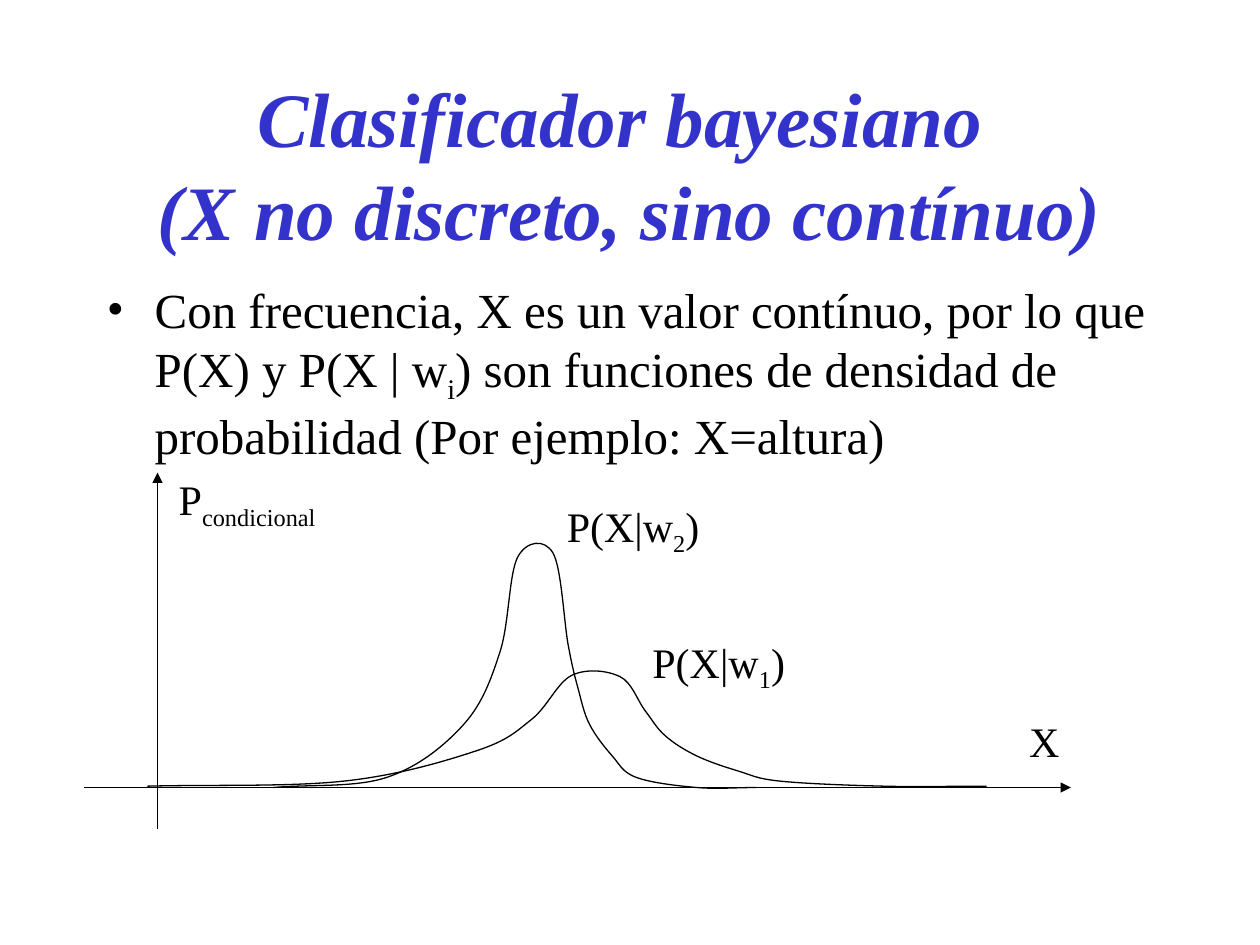
from lxml import etree
from pptx import Presentation, util as u
from pptx.dml.color import RGBColor
from pptx.enum import shapes, text
from pptx.oxml.ns import qn

FONT = "Times New Roman"
BLACK = "000000"
BLUE = "3333CC"
SUBSCRIPT = "-25000"
NARROW_DENSITY = [(2.17, 6.25), (3.07, 6.17), (3.68, 5.75), (3.97, 5.17),
                  (4.11, 4.42), (4.39, 4.39), (4.51, 5.12), (4.59, 5.47),
                  (4.68, 5.75), (4.86, 6), (5.05, 6.17), (5.53, 6.25), (6, 6.25)]
WIDE_DENSITY = [(1.17, 6.24), (2.73, 6.2), (3.78, 5.96), (4.22, 5.71),
                (4.54, 5.36), (4.92, 5.37), (5.12, 5.64), (5.28, 5.84),
                (5.53, 6), (5.86, 6.12), (6.19, 6.2), (7.01, 6.24), (7.83, 6.24)]


def color(value):
    return RGBColor.from_string(value)


def inches(*lengths):
    return [u.Inches(length) for length in lengths]


def style(paragraph, size, tint=BLACK):
    font = paragraph.font
    font.name, font.size = FONT, u.Pt(size)
    font.color.rgb = color(tint)
    return font


def add_title(slide, wording):
    title = slide.shapes.title
    title.left, title.top, title.width, title.height = inches(0.75, 0.67, 8.5, 1.25)
    frame = title.text_frame
    frame.text = wording
    frame.auto_size = text.MSO_AUTO_SIZE.NONE
    frame.vertical_anchor = text.MSO_ANCHOR.MIDDLE
    heading = frame.paragraphs[0]
    heading.alignment = text.PP_ALIGN.CENTER
    font = style(heading, 44, BLUE)
    font.bold = font.italic = True


def add_text(slide, box, pieces, size, bullet=False):
    frame = slide.shapes.add_textbox(*inches(*box)).text_frame
    frame.word_wrap = bullet
    if not bullet:
        frame.auto_size = text.MSO_AUTO_SIZE.SHAPE_TO_FIT_TEXT
    paragraph = frame.paragraphs[0]
    if bullet:
        properties = paragraph._p.get_or_add_pPr()
        indent = u.Inches(0.38)
        properties.set("marL", str(indent))
        properties.set("indent", str(-indent))
        etree.SubElement(properties, qn("a:buFont")).set("typeface", FONT)
        etree.SubElement(properties, qn("a:buChar")).set("char", "•")
    style(paragraph, size)
    for index, piece in enumerate(pieces):
        run = paragraph.add_run()
        run.text = piece
        if index % 2:
            run.font._element.set("baseline", SUBSCRIPT)


def outline(shape):
    shape.line.color.rgb = color(BLACK)
    shape.line.width = u.Pt(0.75)


def add_axis(slide, start, end):
    axis = slide.shapes.add_connector(shapes.MSO_CONNECTOR.STRAIGHT, *inches(*start, *end))
    outline(axis)
    etree.SubElement(axis.line._get_or_add_ln(), qn("a:tailEnd")).set("type", "triangle")
    etree.SubElement(axis._element.spPr, qn("a:effectLst"))


def bezier_points(knots):
    def mirror(end, inner):
        return tuple(2 * e - i for e, i in zip(end, inner))

    def offset(knot, before, after, sign):
        return tuple(k + sign * (a - b) / 6 for k, b, a in zip(knot, before, after))

    padded = [mirror(knots[0], knots[1]), *knots, mirror(knots[-1], knots[-2])]
    points = [knots[0]]
    for before, start, end, after in zip(padded, padded[1:], padded[2:], padded[3:]):
        points += [offset(start, before, end, 1), offset(end, start, after, -1), end]
    return [inches(*point) for point in points]


def add_density(slide, knots):
    points = bezier_points(knots)
    builder = slide.shapes.build_freeform(*points[0])
    builder.add_line_segments(points[1:], close=False)
    curve = builder.convert_to_shape()
    outline_path = next(curve._element.iter(qn("a:path")))
    segments = outline_path.findall(qn("a:lnTo"))
    for first in range(0, len(segments), 3):
        bend = etree.SubElement(outline_path, qn("a:cubicBezTo"))
        for segment in segments[first:first + 3]:
            bend.append(segment[0])
            outline_path.remove(segment)
    curve.shadow.inherit = False
    curve.fill.background()
    outline(curve)


def main():
    deck = Presentation()
    deck.slide_width, deck.slide_height = inches(10, 7.5)
    slide = deck.slides.add_slide(deck.slide_layouts[5])
    add_title(slide, "Clasificador bayesiano \v(X no discreto, sino contínuo)")
    add_text(slide, (0.75, 2.17, 8.5, 4.5),
             ["Con frecuencia, X es un valor contínuo, por lo que P(X) y P(X | w", "i",
              ") son funciones de densidad de probabilidad (Por ejemplo: X=altura)"],
             28, bullet=True)
    add_axis(slide, (1.25, 6.58), (1.25, 3.75))
    add_axis(slide, (0.67, 6.25), (8.5, 6.25))
    for knots in (NARROW_DENSITY, WIDE_DENSITY):
        add_density(slide, knots)
    for box, pieces in (
        ((5.08, 5, 1.27, 0.5), ["P(X|w", "1", ")"]),
        ((4.4, 3.92, 1.27, 0.5), ["P(X|w", "2", ")"]),
        ((8.07, 5.63, 0.44, 0.5), ["X"]),
        ((1.32, 3.71, 1.43, 0.5), ["P", "condicional"]),
    ):
        add_text(slide, box, pieces, 24)
    deck.save("out.pptx")


if __name__ == "__main__":
    main()
